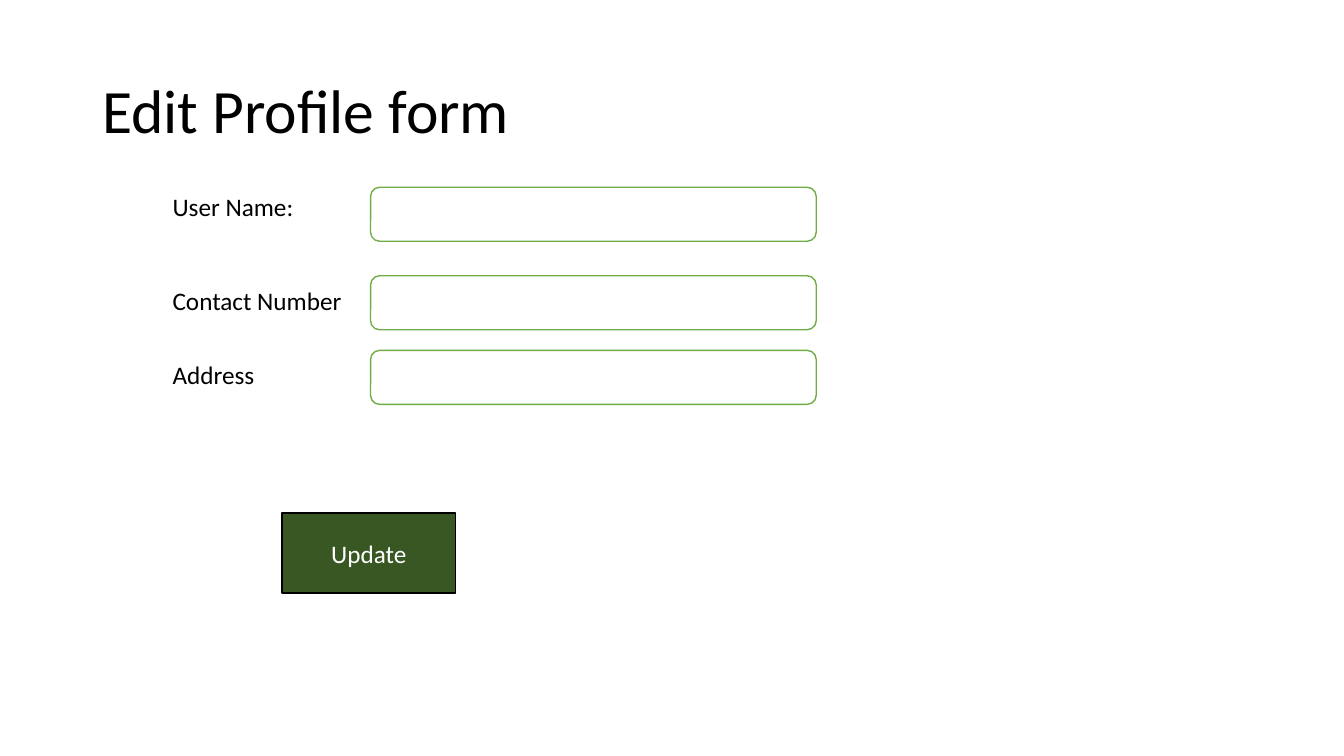
import pptx
import pptx.util
import pptx.dml.color
import pptx.enum.shapes
import pptx.enum.text
from dataclasses import dataclass
from pptx.util import Cm


@dataclass(frozen=True)
class Theme:
    font: str = "Calibri"
    text: str = "000000"
    field_fill: str = "FFFFFF"
    field_line: str = "70AD47"
    button_fill: str = "385723"
    button_line: str = "000000"
    button_text: str = "FFFFFF"
    title_size: int = 44
    body_size: int = 18


theme = Theme()
shape_types = pptx.enum.shapes.MSO_SHAPE


def write_text(shape, text, size, color, wrap):
    frame = shape.text_frame
    frame.word_wrap = wrap
    paragraph = frame.paragraphs[0]
    paragraph.text = text
    paragraph.font.name = theme.font
    paragraph.font.size = pptx.util.Pt(size)
    paragraph.font.color.rgb = pptx.dml.color.RGBColor.from_string(color)
    return paragraph


def add_box(kind, left, top, width, height, fill, line):
    shape = slide.shapes.add_shape(kind, Cm(left), Cm(top), Cm(width), Cm(height))
    shape.shadow.inherit = False
    shape.fill.solid()
    shape.fill.fore_color.rgb = pptx.dml.color.RGBColor.from_string(fill)
    shape.line.color.rgb = pptx.dml.color.RGBColor.from_string(line)
    shape.line.width = pptx.util.Pt(1)
    return shape


presentation = pptx.Presentation()
presentation.slide_width = Cm(33.87)
presentation.slide_height = Cm(19.05)
slide = presentation.slides.add_slide(presentation.slide_layouts[6])

title = slide.shapes.add_textbox(Cm(2.33), Cm(1.01), Cm(29.21), Cm(3.68))
title.text_frame.vertical_anchor = pptx.enum.text.MSO_ANCHOR.MIDDLE
title_paragraph = write_text(title, "Edit Profile form", theme.title_size, theme.text, True)
title_paragraph.line_spacing = 0.9

form_rows = [
    ("User Name:", 4.7, 3.58, 4.72),
    ("Contact Number", 7.06, 4.83, 6.95),
    ("Address", 8.94, 2.59, 8.83),
]
for label_text, label_top, label_width, field_top in form_rows:
    label = slide.shapes.add_textbox(Cm(4.1), Cm(label_top), Cm(label_width), Cm(1.03))
    write_text(label, label_text, theme.body_size, theme.text, False)
    add_box(shape_types.ROUNDED_RECTANGLE, 9.34, field_top, 11.23, 1.36,
            theme.field_fill, theme.field_line)

button = add_box(shape_types.ACTION_BUTTON_CUSTOM, 7.11, 12.93, 4.37, 2.01,
                 theme.button_fill, theme.button_line)
button.text_frame.vertical_anchor = pptx.enum.text.MSO_ANCHOR.MIDDLE
button_paragraph = write_text(button, "Update", theme.body_size, theme.button_text, True)
button_paragraph.alignment = pptx.enum.text.PP_ALIGN.CENTER

presentation.save("out.pptx")
